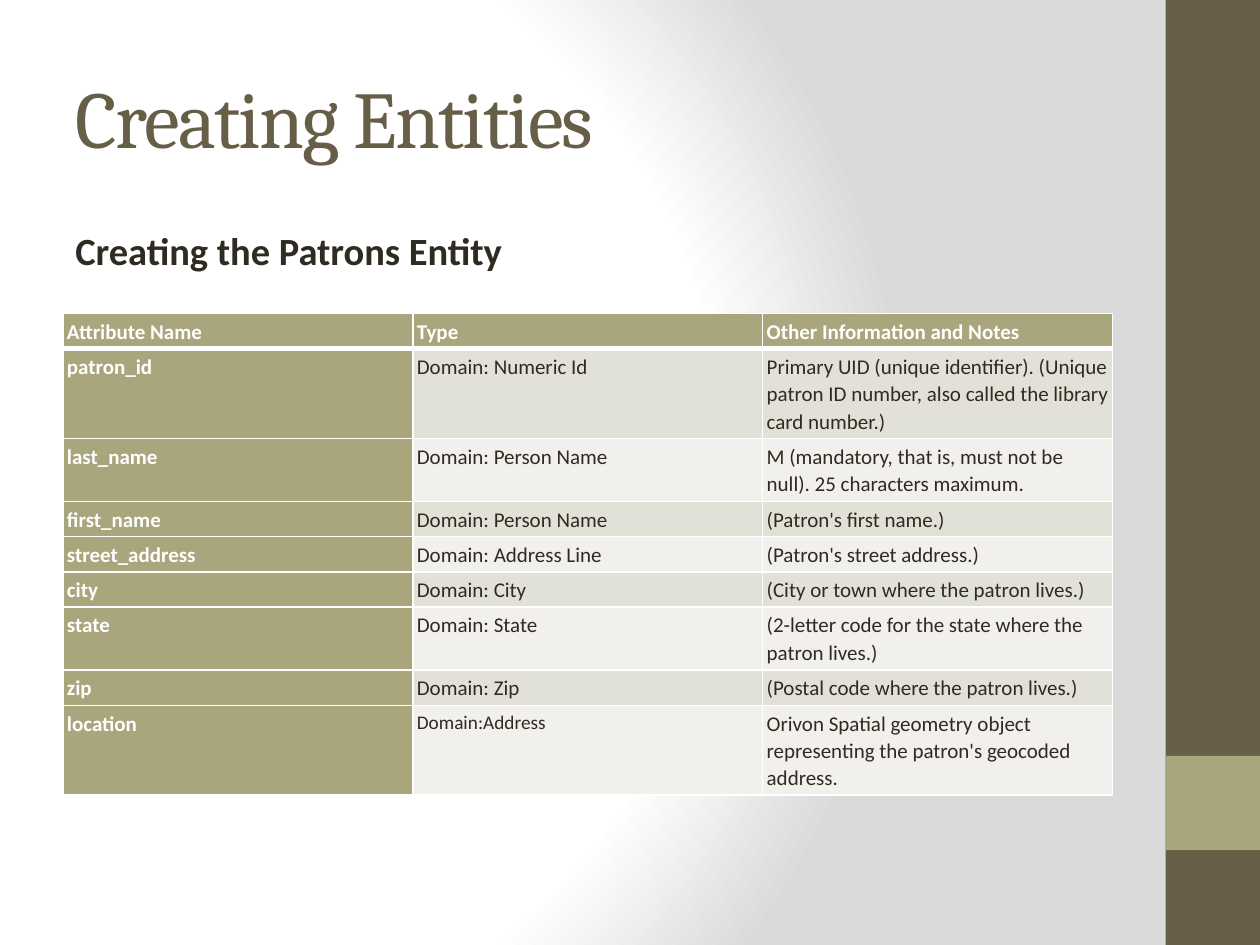
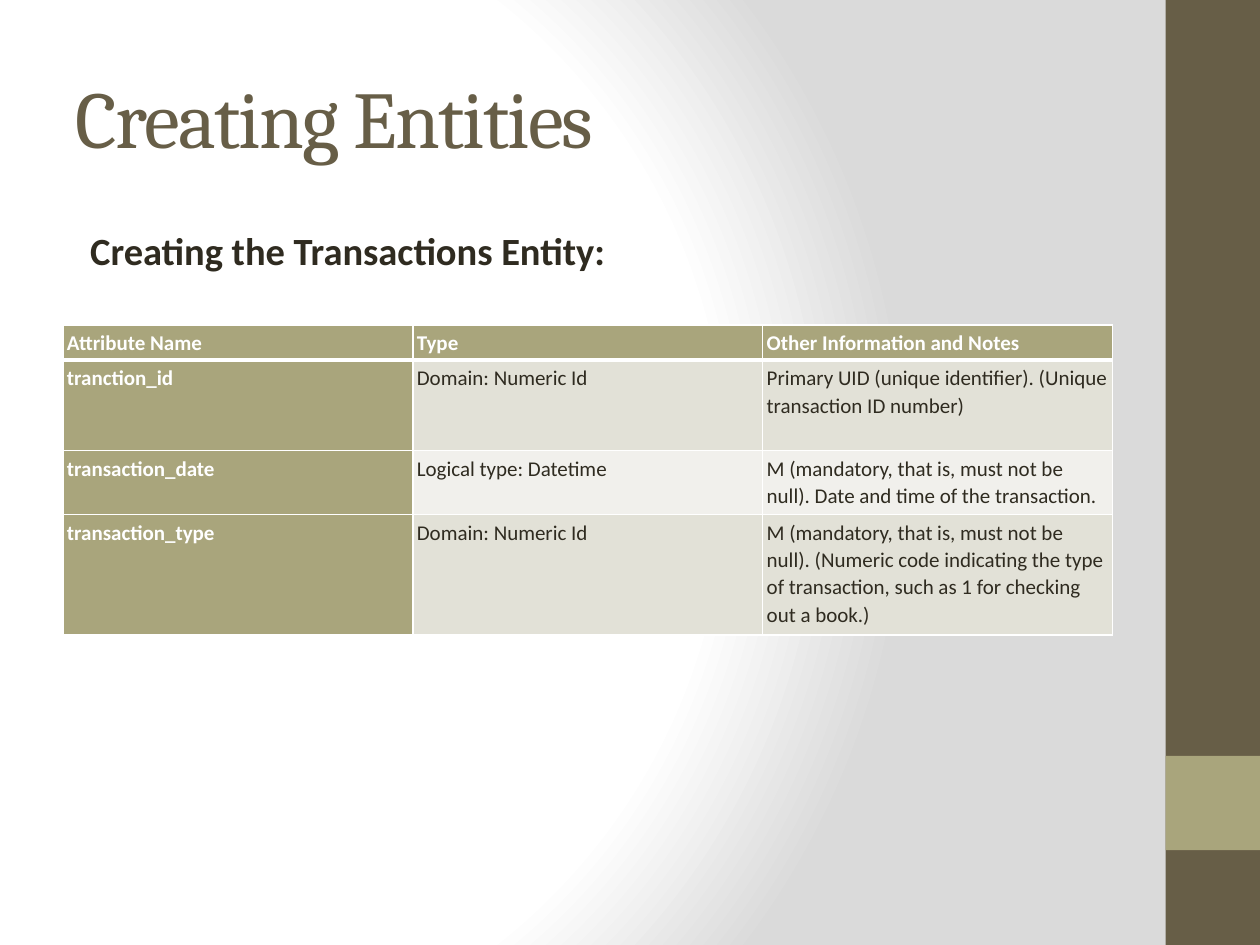
from lxml import etree
from pptx import Presentation
from pptx.dml.color import RGBColor
from pptx.enum.shapes import MSO_SHAPE
from pptx.enum.text import MSO_ANCHOR, PP_ALIGN
from pptx.oxml import parse_xml
from pptx.oxml.ns import nsdecls, qn
from pptx.util import Cm, Pt

RECT = MSO_SHAPE.RECTANGLE
TOP, MIDDLE, BOTTOM = MSO_ANCHOR.TOP, MSO_ANCHOR.MIDDLE, MSO_ANCHOR.BOTTOM
LEFT = PP_ALIGN.LEFT

# Shared look
COLORS = {
    "brown": "675E47", "olive": "A9A57C", "ink": "2F2B20",
    "odd": "E2E1D7", "even": "F1F0EC", "white": "FFFFFF", "gray": "DADADA",
}
HEAD, BODY = "Cambria", "Calibri"
EDGE, WIDE = 1.27, 21.16
TITLE = "Creating Entities"
COLUMNS = ("Attribute Name", "Type", "Other Information and Notes")
HEAD_ROW = 0.71

# Each row: height in cm, attribute, type, notes
PATRONS = [
    (1.81, "patron_id", "Domain: Numeric Id",
     "Primary UID (unique identifier). (Unique patron ID number, "
     "also called the library card number.)"),
    (1.27, "last_name", "Domain: Person Name",
     "M (mandatory, that is, must not be null). 25 characters maximum."),
    (0.71, "first_name", "Domain: Person Name", "(Patron's first name.)"),
    (0.71, "street_address", "Domain: Address Line",
     "(Patron's street address.)"),
    (0.71, "city", "Domain: City", "(City or town where the patron lives.)"),
    (1.27, "state", "Domain: State",
     "(2-letter code for the state where the patron lives.)"),
    (0.71, "zip", "Domain: Zip", "(Postal code where the patron lives.)"),
    (1.81, "location", "Domain:Address",
     "Orivon Spatial geometry object representing the patron's "
     "geocoded address."),
]
TRANSACTIONS = [
    (1.82, "tranction_id", "Domain: Numeric Id",
     "Primary UID (unique identifier). (Unique transaction ID number)"),
    (1.29, "transaction_date", "Logical type: Datetime",
     "M (mandatory, that is, must not be null). "
     "Date and time of the transaction."),
    (2.43, "transaction_type", "Domain: Numeric Id",
     "M (mandatory, that is, must not be null). (Numeric code indicating "
     "the type of transaction, such as 1 for checking out a book.)"),
]


def color(name):
    return RGBColor.from_string(COLORS[name])


def style(frame, size, tint, face=BODY, bold=False):
    para = frame.paragraphs[0]
    para.alignment = LEFT
    for run in para.runs:
        font = run.font
        font.name, font.size, font.bold = face, Pt(size), bold
        font.color.rgb = color(tint)


def place(shape, left, top, width, height):
    shape.left, shape.top = Cm(left), Cm(top)
    shape.width, shape.height = Cm(width), Cm(height)


def set_back(master):
    """Radial white-to-gray backdrop for every slide."""
    master.background.fill.solid()
    props = master.element.find(".//" + qn("p:bgPr"))
    stops = "".join(
        f'<a:gs pos="{pos}000"><a:srgbClr val="{COLORS[name]}"/></a:gs>'
        for pos, name in ((0, "white"), (75, "white"), (100, "gray")))
    grad = parse_xml(
        f'<a:gradFill {nsdecls("a")} rotWithShape="1">'
        f'<a:gsLst>{stops}</a:gsLst><a:path path="circle">'
        '<a:fillToRect l="20000" t="50000" r="100000" b="50000"/>'
        '</a:path></a:gradFill>')
    props.replace(props.find(qn("a:solidFill")), grad)


def add_band(slide, top, height, tint):
    band = slide.shapes.add_shape(
        RECT, Cm(23.5), Cm(top), Cm(1.9), Cm(height))
    band.shadow.inherit = False
    band.fill.solid()
    band.fill.fore_color.rgb = color(tint)
    band.line.fill.background()


def set_title(slide):
    title = slide.shapes.title
    place(title, EDGE, 0.76, WIDE, 3.18)
    frame = title.text_frame
    frame.text = TITLE
    frame.vertical_anchor = MIDDLE
    style(frame, 46, "brown", HEAD)
    frame.paragraphs[0].runs[0].font._element.set("spc", "-100")


def add_lead(slide, text, indent):
    box = slide.shapes.add_textbox(
        Cm(EDGE), Cm(4.45), Cm(WIDE), Cm(13.34))
    frame = box.text_frame
    frame.word_wrap = True
    frame.margin_left = Cm(0.25 + indent)
    frame.text = text
    style(frame, 22, "ink", bold=True)


def set_edge(cell, side, width):
    props = cell._tc.get_or_add_tcPr()
    line = etree.SubElement(props, qn("a:ln" + side), w=str(Pt(width)))
    fill = etree.SubElement(line, qn("a:solidFill"))
    etree.SubElement(fill, qn("a:srgbClr"), val=COLORS["white"])


def fill_cell(cell, text, row, col):
    cell.text = text
    cell.margin_left = cell.margin_right = Cm(0.08)
    cell.margin_top = cell.margin_bottom = Cm(0.08)
    cell.vertical_anchor = TOP if row else BOTTOM
    thick = {(0, "B"), (1, "T")}
    for side in "LRTB":
        set_edge(cell, side, 3 if (row, side) in thick else 1)
    key = row == 0 or col == 0
    back = "olive" if key else "odd" if row % 2 else "even"
    cell.fill.solid()
    cell.fill.fore_color.rgb = color(back)
    cell.text_frame.paragraphs[0].line_spacing = 1.07
    style(cell.text_frame, 12, "white" if key else "ink", bold=key)


def add_grid(slide, top, items):
    rows = [(HEAD_ROW, *COLUMNS), *items]
    high = sum(row[0] for row in rows)
    grid = slide.shapes.add_table(
        len(rows), len(COLUMNS), Cm(EDGE), Cm(top), Cm(WIDE), Cm(high)).table
    for column in grid.columns:
        column.width = Cm(WIDE / len(COLUMNS))
    for r, (height, *texts) in enumerate(rows):
        grid.rows[r].height = Cm(height)
        for c, text in enumerate(texts):
            fill_cell(grid.cell(r, c), text, r, c)
    return grid


def add_page(deck, lead, indent, top, items):
    slide = deck.slides.add_slide(deck.slide_layouts[5])
    add_band(slide, 0, 19.05, "brown")
    add_band(slide, 15.24, 1.9, "olive")
    set_title(slide)
    add_lead(slide, lead, indent)
    return add_grid(slide, top, items)


def main():
    deck = Presentation()
    deck.slide_width, deck.slide_height = Cm(25.4), Cm(19.05)
    set_back(deck.slide_master)

    # Patrons, with a smaller type in the last row
    grid = add_page(deck, "Creating the Patrons Entity", 0, 6.32, PATRONS)
    style(grid.cell(len(PATRONS), 1).text_frame, 11, "ink")

    # Transactions
    add_page(deck, "Creating the Transactions Entity:", 0.3, 6.55,
             TRANSACTIONS)
    deck.save("out.pptx")


if __name__ == "__main__":
    main()
